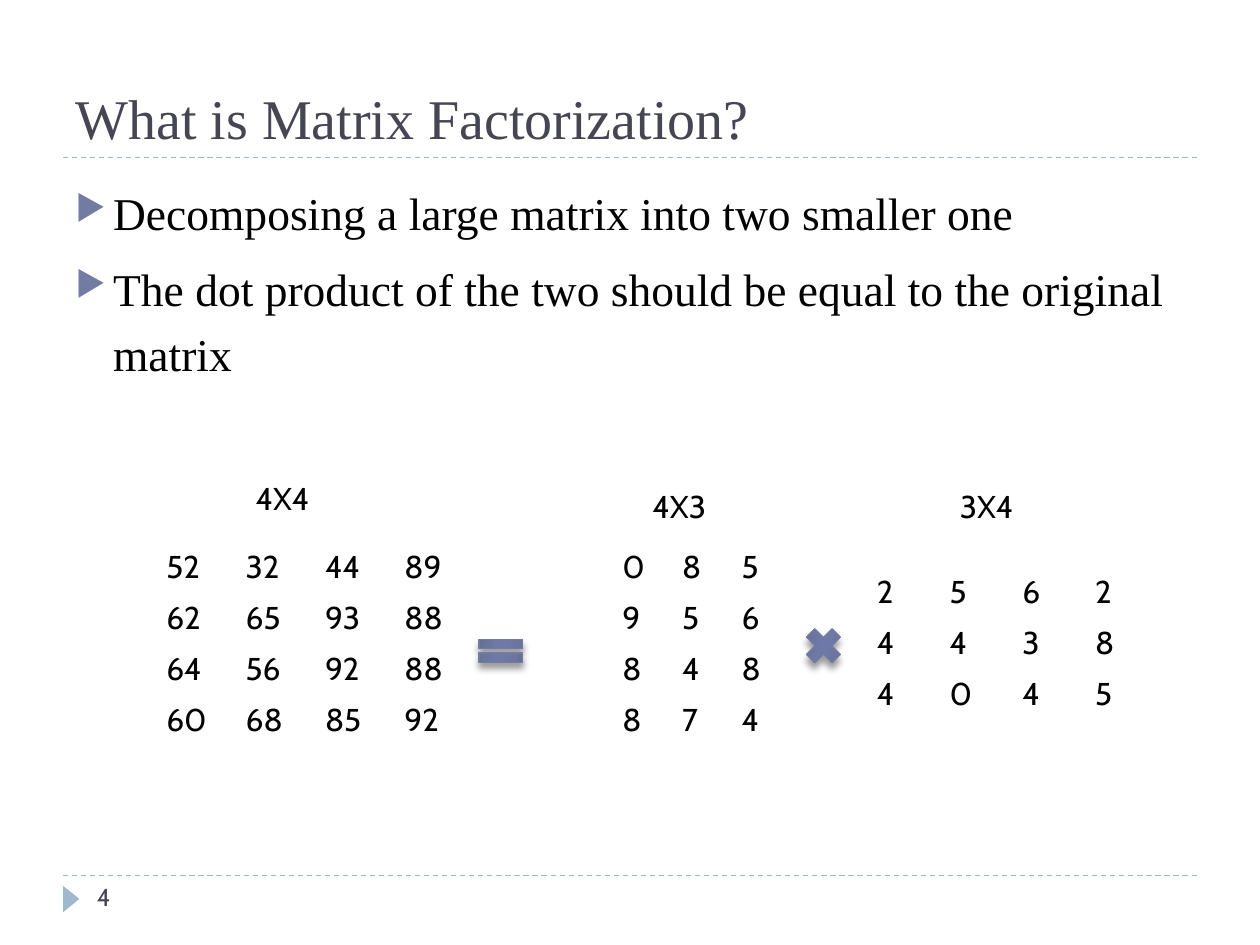
"""Build the slide that introduces matrix factorization."""
import lxml.etree
import pptx
import pptx.dml.color
import pptx.enum.dml
import pptx.enum.shapes
import pptx.enum.text
import pptx.oxml
import pptx.oxml.ns
import pptx.util

Inches = pptx.util.Inches
Pt = pptx.util.Pt
qn = pptx.oxml.ns.qn
RGB = pptx.dml.color.RGBColor.from_string
SHAPE = pptx.enum.shapes.MSO_SHAPE


class Theme:
    ink = "000000"
    heading = "464653"
    accent = "727CA3"
    rule = "9FB8CD"
    gradient = [(0, "5D6585"), (30, "6B759E"), (45, "6E79A7"),
                (55, "6E79A7"), (73, "6B759E"), (100, "5D6585")]
    serif = "Times New Roman"
    sans = "Cabin"
    title_size = 32
    body_size = 26
    matrix_size = 18
    number_size = 14


def write(frame, text, font=Theme.sans, size=Theme.matrix_size, color=Theme.ink,
          wrap=True, anchor=pptx.enum.text.MSO_ANCHOR.TOP, bullet=None):
    frame.word_wrap = wrap
    frame.vertical_anchor = anchor
    frame.text = text
    for paragraph in frame.paragraphs:
        paragraph.alignment = pptx.enum.text.PP_ALIGN.LEFT
        for run in paragraph.runs:
            run.font.name = font
            run.font.size = Pt(size)
            run.font.color.rgb = RGB(color)
        if bullet:
            paragraph.line_spacing = 1.2
            paragraph.space_before = Pt(6)
            properties = paragraph._p.get_or_add_pPr()
            properties.set("marL", str(Inches(0.3)))
            properties.set("indent", str(-Inches(0.3)))
            tint = lxml.etree.SubElement(properties, qn("a:buClr"))
            lxml.etree.SubElement(tint, qn("a:srgbClr"), val=Theme.accent)
            lxml.etree.SubElement(properties, qn("a:buSzPct"), val="76000")
            lxml.etree.SubElement(properties, qn("a:buChar"), char=bullet)


deck = pptx.Presentation()
deck.slide_width = Inches(10)
deck.slide_height = Inches(7.5)
slide = deck.slides.add_slide(deck.slide_layouts[5])
shapes = slide.shapes

for height in (6.95, 1.25):
    divider = shapes.add_connector(pptx.enum.shapes.MSO_CONNECTOR.STRAIGHT,
                                   Inches(0.5), Inches(height), Inches(9.5), Inches(height))
    divider.line.color.rgb = RGB(Theme.rule)
    divider.line.width = Pt(0.75)
    divider.line.dash_style = pptx.enum.dml.MSO_LINE.DASH
    lxml.etree.SubElement(divider._element.spPr, qn("a:effectLst"))

page_marker = shapes.add_shape(SHAPE.ISOSCELES_TRIANGLE,
                               Inches(0.46), Inches(7.07), Inches(0.21), Inches(0.13))
page_marker.rotation = 90
page_marker.shadow.inherit = False
page_marker.fill.solid()
page_marker.fill.fore_color.rgb = RGB(Theme.rule)
page_marker.line.fill.background()

title = shapes.title
title.left, title.top, title.width, title.height = (
    Inches(0.5), Inches(0.17), Inches(9), Inches(1.08))
write(title.text_frame, "What is Matrix Factorization?", font=Theme.serif,
      size=Theme.title_size, color=Theme.heading, anchor=pptx.enum.text.MSO_ANCHOR.BOTTOM)

page_number = shapes.add_textbox(Inches(0.67), Inches(6.95), Inches(2.17), Inches(0.4))
write(page_number.text_frame, "4", size=Theme.number_size, color=Theme.heading)

explanation = shapes.add_textbox(Inches(0.5), Inches(1.33), Inches(9), Inches(2.34))
write(explanation.text_frame,
      "Decomposing a large matrix into two smaller one\n"
      "The dot product of the two should be equal to the original matrix",
      font=Theme.serif, size=Theme.body_size, bullet="\u25b6")

matrices = [
    (1.22, 4.3, 2.52, [[52, 32, 44, 89], [62, 65, 93, 88], [64, 56, 92, 88], [60, 68, 85, 92]]),
    (4.84, 4.3, 1.42, [[0, 8, 5], [9, 5, 6], [8, 4, 8], [8, 7, 4]]),
    (6.86, 4.5, 2.31, [[2, 5, 6, 2], [4, 4, 3, 8], [4, 0, 4, 5]]),
]
for left, top, width, values in matrices:
    matrix = shapes.add_table(len(values), len(values[0]), Inches(left), Inches(top),
                              Inches(width), Inches(0.405 * len(values))).table
    matrix.first_row = False
    matrix.horz_banding = False
    for row, numbers in enumerate(values):
        for column, number in enumerate(numbers):
            cell = matrix.cell(row, column)
            cell.fill.background()
            write(cell.text_frame, str(number))

operators = [(SHAPE.MATH_EQUAL, 3.74, 5.01, 0.47, 0.31),
             (SHAPE.MATH_MULTIPLY, 6.34, 4.93, 0.39, 0.39)]
for symbol, left, top, width, height in operators:
    operator = shapes.add_shape(symbol, Inches(left), Inches(top), Inches(width), Inches(height))
    operator.line.color.rgb = RGB(Theme.accent)
    operator.line.width = Pt(0.75)
    operator.fill.gradient()
    operator.fill.gradient_angle = 360 - 16
    stops = operator._element.spPr.find(".//" + qn("a:gsLst"))
    for stop in list(stops):
        stops.remove(stop)
    for position, color in Theme.gradient:
        stop = lxml.etree.SubElement(stops, qn("a:gs"), pos=str(position * 1000))
        lxml.etree.SubElement(stop, qn("a:srgbClr"), val=color)
    operator.shadow.inherit = False
    effects = operator._element.spPr.find(qn("a:effectLst"))
    shadow = lxml.etree.SubElement(effects, qn("a:outerShdw"), blurRad=str(Pt(4)),
                                   dist=str(Pt(3.4)), dir="5400000", rotWithShape="0")
    shade = lxml.etree.SubElement(shadow, qn("a:srgbClr"), val=Theme.ink)
    lxml.etree.SubElement(shade, qn("a:alpha"), val="40000")

for dimensions, left, top in (("4X4", 1.93, 3.75), ("4X3", 5.08, 3.82), ("3X4", 7.52, 3.82)):
    caption = shapes.add_textbox(Inches(left), Inches(top), Inches(0.87), Inches(0.4))
    write(caption.text_frame, dimensions)
    caption.text_frame.auto_size = pptx.enum.text.MSO_AUTO_SIZE.SHAPE_TO_FIT_TEXT

deck.save("out.pptx")
